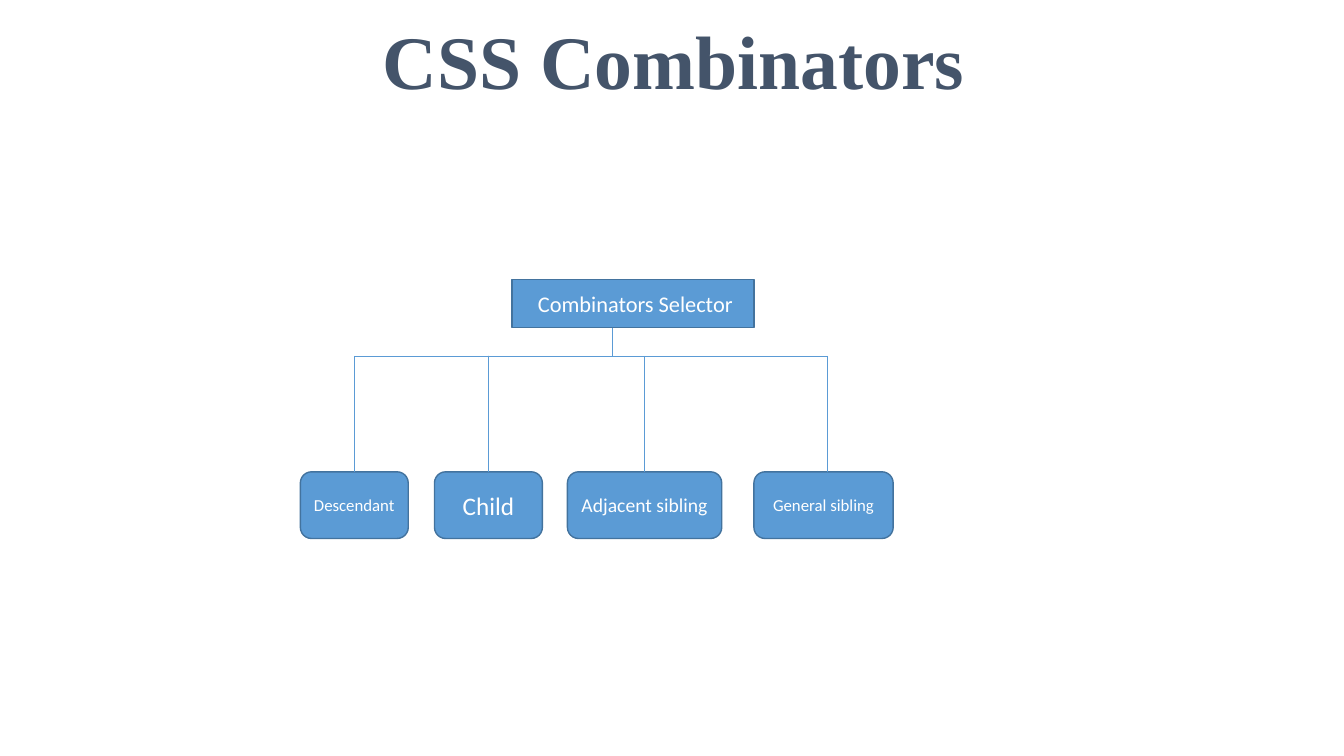
import pptx
import pptx.dml.color
import pptx.enum.shapes
import pptx.enum.text
import pptx.oxml.ns
import pptx.util
from lxml import etree

Cm, Pt = pptx.util.Cm, pptx.util.Pt
SHAPE = pptx.enum.shapes.MSO_SHAPE
ANCHOR = pptx.enum.text.MSO_ANCHOR
BLUE, EDGE, WHITE, SLATE = "5B9BD5", "43739E", "FFFFFF", "44546A"
BAR_Y = 8.97
CHILD_TOP, CHILD_HEIGHT = 11.89, 1.68

prs = pptx.Presentation()
prs.slide_width, prs.slide_height = Cm(33.87), Cm(19.05)
s = prs.slides.add_slide(prs.slide_layouts[6])


def add_text(text, x, y, w, h, size, shape=None, font="Calibri", color=WHITE,
             bold=False, anchor=ANCHOR.MIDDLE, spacing=1.0):
    """Add centred text, in a blue box if a preset shape is given."""
    box = Cm(x), Cm(y), Cm(w), Cm(h)
    if shape is None:
        sp = s.shapes.add_textbox(*box)
    else:
        sp = s.shapes.add_shape(shape, *box)
        sp.shadow.inherit = False
        sp.fill.solid()
        sp.fill.fore_color.rgb = pptx.dml.color.RGBColor.from_string(BLUE)
        sp.line.color.rgb = pptx.dml.color.RGBColor.from_string(EDGE)
        sp.line.width = Pt(1)
    tf = sp.text_frame
    tf.word_wrap = True
    tf.vertical_anchor = anchor
    p = tf.paragraphs[0]
    p.alignment = pptx.enum.text.PP_ALIGN.CENTER
    p.line_spacing = spacing
    r = p.add_run()
    r.text = text
    r.font.name, r.font.size, r.font.bold = font, Pt(size), bold
    r.font.color.rgb = pptx.dml.color.RGBColor.from_string(color)
    return sp


def add_line(x1, y1, x2, y2):
    line = s.shapes.add_connector(pptx.enum.shapes.MSO_CONNECTOR.STRAIGHT,
                                  Cm(x1), Cm(y1), Cm(x2), Cm(y2))
    line.line.color.rgb = pptx.dml.color.RGBColor.from_string(BLUE)
    line.line.width = Pt(0.5)
    etree.SubElement(line._element.spPr, pptx.oxml.ns.qn("a:effectLst"))
    return line


add_text("CSS Combinators", 0.86, 0.71, 32.23, 2.08, 54, font="Times New Roman",
         color=SLATE, bold=True, anchor=ANCHOR.BOTTOM, spacing=0.9)

# Stem and crossbar
add_line(15.42, BAR_Y, 15.42, 8.26)
add_line(8.93, BAR_Y, 20.85, BAR_Y)

# Selectors: text, left, width, text size, shift of the drop line from the middle
selectors = [
    ("Descendant", 7.57, 2.72, 12, 0),
    ("Child", 10.95, 2.72, 18, 0),
    ("Adjacent sibling", 14.3, 3.89, 14, 0),
    ("General sibling", 19, 3.51, 12, 0.1),
]
for text, left, width, size, shift in selectors:
    sp = add_text(text, left, CHILD_TOP, width, CHILD_HEIGHT, size,
                  shape=SHAPE.ROUNDED_RECTANGLE)
    x = left + width / 2 + shift
    drop = add_line(x, BAR_Y, x, CHILD_TOP)
    if shift == 0:
        drop.end_connect(sp, 0)

add_text(" Combinators Selector", 12.9, 7.04, 6.1, 1.22, 16, shape=SHAPE.RECTANGLE)

prs.save("out.pptx")
